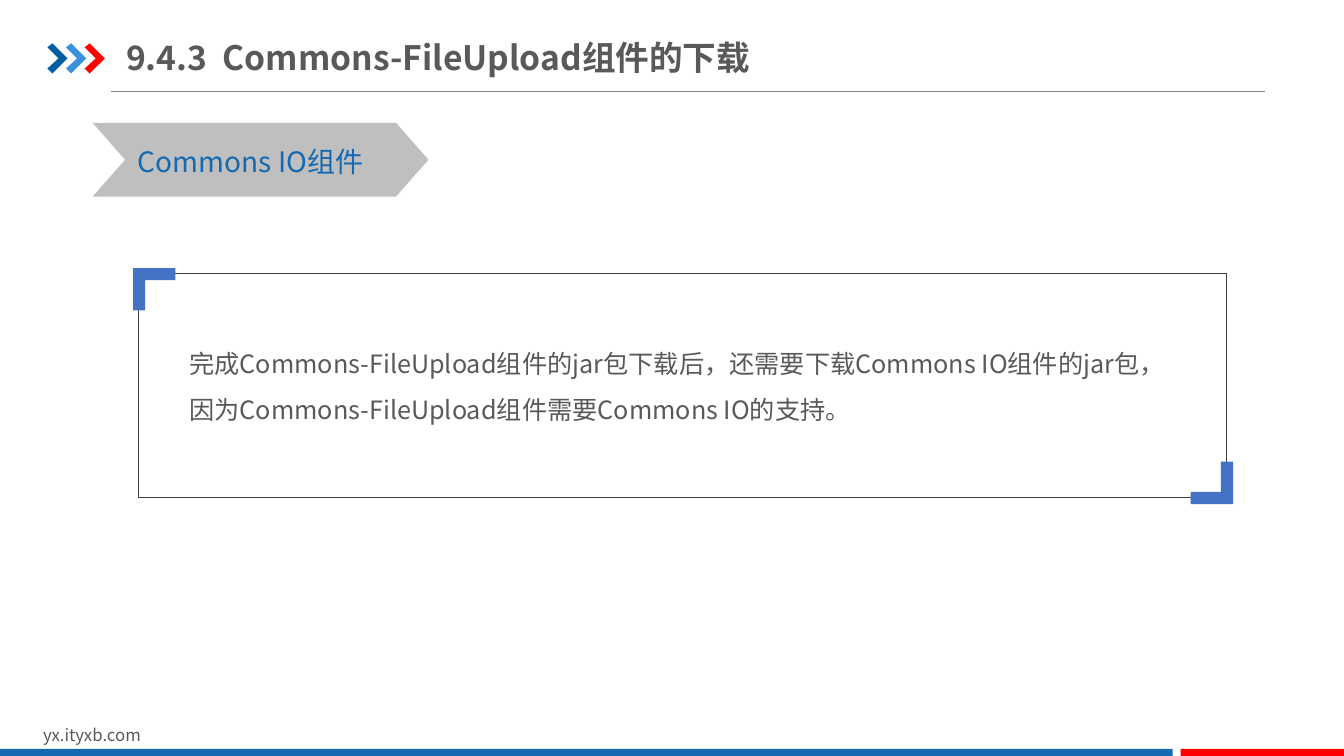
import pptx
import pptx.util
import pptx.dml.color
import pptx.enum.shapes
import pptx.enum.text
import pptx.oxml.ns
from lxml import etree

Inches = pptx.util.Inches
Shape = pptx.enum.shapes.MSO_SHAPE
Align = pptx.enum.text.PP_ALIGN
Anchor = pptx.enum.text.MSO_ANCHOR
qn = pptx.oxml.ns.qn


def color(code):
    return pptx.dml.color.RGBColor.from_string(code)


def write(frame, text, size=18, ink="595959", bold=False, space=1.0,
          wrap=True, anchor=Anchor.TOP, pad=(0.1, 0.05)):
    """Fill a text frame with one formatted paragraph; pad is (side, top)."""
    frame.word_wrap = wrap
    frame.auto_size = pptx.enum.text.MSO_AUTO_SIZE.NONE
    frame.vertical_anchor = anchor
    frame.margin_left = frame.margin_right = Inches(pad[0])
    frame.margin_top = frame.margin_bottom = Inches(pad[1])
    para = frame.paragraphs[0]
    para.alignment = Align.LEFT
    para.line_spacing = space
    run = para.add_run()
    run.text = text
    font = run.font
    font.name = Page.face
    font.size = pptx.util.Pt(size)
    font.bold = bold
    font.color.rgb = color(ink)
    east = etree.SubElement(font._element, qn("a:ea"))
    east.set("typeface", Page.face)


class Page:
    face = "Noto Sans CJK SC"
    blue = "1369B2"
    red = "FF0000"

    def __init__(self, deck):
        self.slide = deck.slides.add_slide(deck.slide_layouts[5])
        self.shapes = self.slide.shapes

    def title(self, text, *box, **form):
        head = self.shapes.title
        head.left, head.top, head.width, head.height = map(Inches, box)
        write(head.text_frame, text, **form)

    def text(self, text, *box, **form):
        area = self.shapes.add_textbox(*map(Inches, box))
        write(area.text_frame, text, **form)

    def paint(self, shape, fill=None, line=None, width=0.25):
        shape.shadow.inherit = False
        if fill:
            shape.fill.solid()
            shape.fill.fore_color.rgb = color(fill)
        else:
            shape.fill.background()
        if line:
            shape.line.color.rgb = color(line)
            shape.line.width = pptx.util.Pt(width)
        else:
            shape.line.fill.background()

    def shape(self, kind, *box, **style):
        item = self.shapes.add_shape(kind, *map(Inches, box))
        self.paint(item, **style)
        return item

    def outline(self, left, top, dots, fill, sign=1):
        """Draw a closed polygon from offsets; sign -1 turns it half round."""
        spots = [(Inches(left + sign * x), Inches(top + sign * y))
                 for x, y in dots]
        pen = self.shapes.build_freeform(*spots[0])
        pen.add_line_segments(spots[1:], close=True)
        self.paint(pen.convert_to_shape(), fill)

    def rule(self, left, right, top, ink, width):
        line = self.shapes.add_connector(
            pptx.enum.shapes.MSO_CONNECTOR.STRAIGHT,
            Inches(left), Inches(top), Inches(right), Inches(top))
        line.line.color.rgb = color(ink)
        line.line.width = pptx.util.Pt(width)
        etree.SubElement(line._element.spPr, qn("a:effectLst"))


def main():
    deck = pptx.Presentation()
    deck.slide_width, deck.slide_height = Inches(13.33), Inches(7.5)
    page = Page(deck)

    # Header
    page.rule(1.1, 12.55, 0.91, "808080", 0.5)
    arrow = [(0, 0.04), (0.05, 0), (0.2, 0.15), (0.05, 0.3),
             (0, 0.25), (0.11, 0.15)]
    for i, fill in enumerate(["005DA2", "3992DB", Page.red]):
        page.outline(0.47 + 0.185 * i, 0.43, arrow, fill)
    page.title("9.4.3  Commons-FileUpload组件的下载", 1.25, 0.29, 6.57, 0.55,
               size=24, bold=True, anchor=Anchor.MIDDLE, pad=(0, 0.07))

    # Footer
    page.text("yx.ityxb.com", 0.33, 7.14, 3.18, 0.3, size=12)
    page.shape(Shape.RECTANGLE, 0, 7.43, 11.63, 0.09, fill=Page.blue)
    page.shape(Shape.RECTANGLE, 11.71, 7.43, 1.63, 0.09, fill=Page.red)

    # Section label
    label = page.shape(Shape.CHEVRON, 0.92, 1.22, 3.33, 0.73, fill="BFBFBF")
    label.adjustments[0] = 0.44
    page.text("Commons IO组件", 1.27, 1.38, 2.53, 0.44,
              size=20, ink=Page.blue, wrap=False)

    # Framed note
    page.text("完成Commons-FileUpload组件的jar包下载后，还需要下载Commons IO组件的jar包，"
              "因为Commons-FileUpload组件需要Commons IO的支持。",
              1.78, 3.26, 9.97, 1.08, space=1.5)
    page.shape(Shape.RECTANGLE, 1.37, 2.71, 10.79, 2.22, line="404040")
    corner = [(0, 0), (0.42, 0), (0.42, 0.12), (0.12, 0.12),
              (0.12, 0.42), (0, 0.42)]
    for left, top, sign in [(1.32, 2.66, 1), (12.23, 5, -1)]:
        page.outline(left, top, corner, "4472C4", sign)

    deck.save("out.pptx")


if __name__ == "__main__":
    main()
